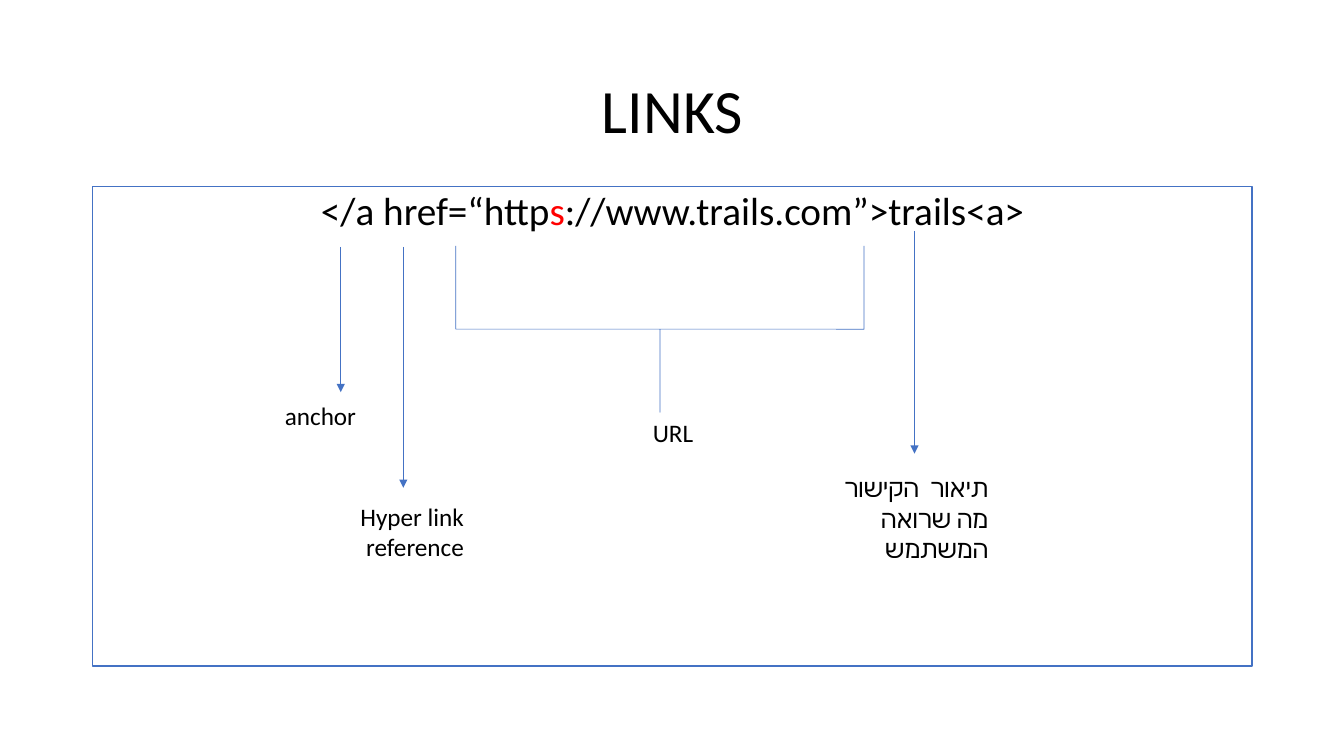
from pptx import Presentation
from pptx.dml.color import RGBColor
from pptx.enum.shapes import MSO_CONNECTOR as Conn, MSO_SHAPE as Shape
from pptx.enum.text import MSO_ANCHOR as Anchor, PP_ALIGN as Align
from pptx.oxml.ns import qn
from pptx.util import Pt
from lxml.etree import SubElement as sub

PX = 9144  # 100 px to the inch
FONT = "Calibri"
BLACK = RGBColor(0x00, 0x00, 0x00)
WHITE = RGBColor(0xFF, 0xFF, 0xFF)
RED = RGBColor(0xFF, 0x00, 0x00)
BLUE = RGBColor(0x44, 0x72, 0xC4)


def emu(*nums):
    return [round(n * PX) for n in nums]


def write(shape, paras, size=18, align=Align.RIGHT, anchor=Anchor.TOP, space=1.0):
    """Fill a shape with right-to-left paragraphs, each a list of (text, colour)."""
    frame = shape.text_frame
    frame.word_wrap = True
    frame.vertical_anchor = anchor
    for i, runs in enumerate(paras):
        para = frame.add_paragraph() if i else frame.paragraphs[0]
        para.alignment = align
        para.line_spacing = space
        para._p.get_or_add_pPr().set("rtl", "1")
        for text, color in runs:
            run = para.add_run()
            run.text = text
            font = run.font
            font.size, font.name = Pt(size), FONT
            font.color.rgb = color
            sub(run._r.rPr, qn("a:cs"), typeface=FONT)


def label(slide, box, *lines, **form):
    shape = slide.shapes.add_textbox(*emu(*box))
    write(shape, [[(line, BLACK)] for line in lines], **form)


def arrow(slide, x, top, end):
    line = slide.shapes.add_connector(Conn.STRAIGHT, *emu(x, top, x, end))
    line.line.color.rgb = BLUE
    line.line.width = Pt(0.5)
    sub(line.line._get_or_add_ln(), qn("a:tailEnd"), type="triangle")
    sub(line._element.spPr, qn("a:effectLst"))


def brace(slide, box):
    """Square brace pointing down, filling the box once turned."""
    x, y, w, h = box
    shift = (w - h) / 2
    shape = slide.shapes.add_shape(
        Shape.RIGHT_BRACE, *emu(x + shift, y - shift, h, w))
    shape.rotation = 90
    shape.adjustments[0] = 0
    shape.adjustments[1] = 0.5
    shape.shadow.inherit = False
    shape.fill.background()
    shape.line.color.rgb = BLUE
    shape.line.width = Pt(0.5)


def panel(slide, box):
    x, y, w, h = box
    # Framed line of code
    frame = slide.shapes.add_shape(Shape.RECTANGLE, *emu(*box))
    frame.shadow.inherit = False
    frame.fill.solid()
    frame.fill.fore_color.rgb = WHITE
    frame.line.color.rgb = BLUE
    frame.line.width = Pt(1)
    code = [("<a href=“http", BLACK), ("s", RED),
            ("://www.trails.com”>trails<a/>", BLACK)]
    write(frame, [code], size=28, align=Align.CENTER, space=0.9)

    # Arrows: left, top, end
    for left, top, end in ((246, 60, 204), (308, 60, 299), (815, 44, 265)):
        arrow(slide, x + left, y + top, y + end)
    brace(slide, (x + 360, y + 59, 405, 165))

    # Names of the parts
    label(slide, (x + 137, y + 207, 134, 40), "anchor")
    label(slide, (x + 166, y + 307, 212, 71), "Hyper link reference")
    label(slide, (x + 496, y + 224, 159, 40), "URL", align=Align.CENTER)
    label(slide, (x + 732, y + 279, 166, 101),
          "תיאור  הקישור", "מה שרואה המשתמש")


def main():
    deck = Presentation()
    deck.slide_width, deck.slide_height = emu(1333, 750)
    slide = deck.slides.add_slide(deck.slide_layouts[6])
    label(slide, (92, 40, 1150, 145), "LINKS", size=44, align=Align.CENTER,
          anchor=Anchor.MIDDLE, space=0.9)
    panel(slide, (92, 185, 1150, 476))
    deck.save("out.pptx")


if __name__ == "__main__":
    main()
